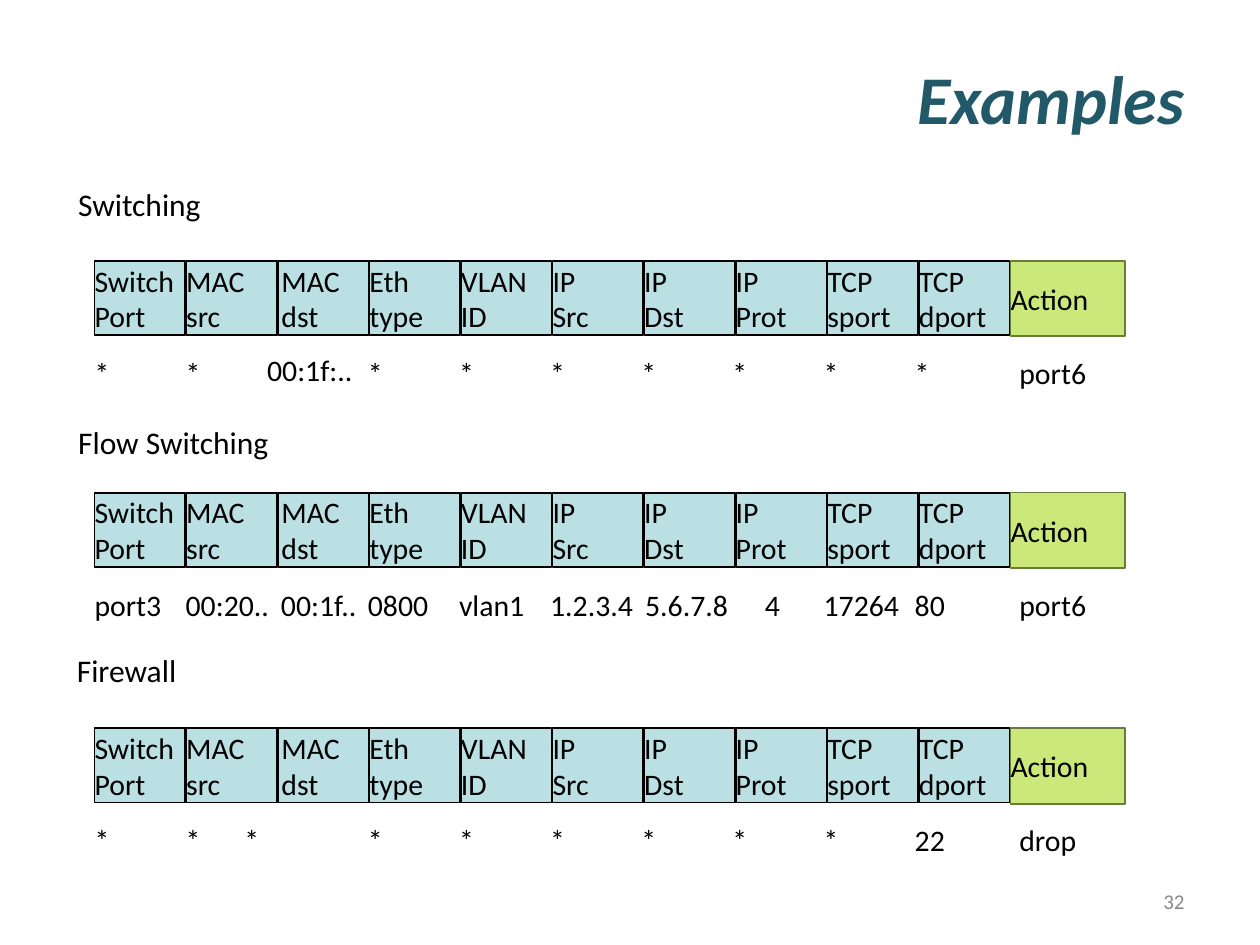
import pptx
import pptx.util
import pptx.dml.color
import pptx.enum.shapes
import pptx.enum.text

# Content
TITLE, NUMBER = "Examples", "32"
FIELDS = ["Switch Port", "MAC src", "MAC dst", "Eth type", "VLAN ID",
          "IP Src", "IP Dst", "IP Prot", "TCP sport", "TCP dport"]
# caption, caption left and top, header top, matched values, action,
# values set off the grid: column -> (left, width, shift down)
TABLES = [
    ("Switching", 0.62, 1.47, 2.07,
     ["*", "*", "00:1f:..", "*", "*", "*", "*", "*", "*", "*"],
     "port6", {2: (2.12, 1.24, -0.02)}),
    ("Flow Switching", 0.62, 3.36, 3.91,
     ["port3", "00:20..", "00:1f..", "0800", "vlan1",
      "1.2.3.4", "5.6.7.8", "4", "17264", "80"],
     "port6", {2: (2.23, 0.95, 0), 6: (5.12, 0.72, 0), 7: (6.07, 0.72, 0)}),
    ("Firewall", 0.61, 5.17, 5.78,
     ["*", "*", "*", "*", "*", "*", "*", "*", "*", "22"],
     "drop", {2: (1.94, 1.24, 0)}),
]

# Grid, in inches
LEFT, ACTION_LEFT, ACTION_VALUE_LEFT = 0.75, 8.02, 8.09
CELL_W, CELL_H, VALUE_H, VALUE_DROP = 0.72, 0.59, 0.35, 0.71
CELL_STEP = (ACTION_LEFT - LEFT) / len(FIELDS)
VALUE_STEP = (7.26 - LEFT) / (len(FIELDS) - 1)
MAC_DST_INSET = 0.03

ALIGN = pptx.enum.text.PP_ALIGN


def rgb(value):
    return pptx.dml.color.RGBColor.from_string(value)


def inches(*values):
    return [pptx.util.Inches(v) for v in values]


def write(s, lines, size=17, color="000000", align=ALIGN.LEFT,
          insets=(0, 0, 0, 0), wrap=True, bold=False, italic=False):
    tf = s.text_frame
    tf.word_wrap = wrap
    tf.vertical_anchor = pptx.enum.text.MSO_ANCHOR.MIDDLE
    tf.margin_left, tf.margin_top, tf.margin_right, tf.margin_bottom = inches(*insets)
    for i, line in enumerate(lines):
        p = tf.add_paragraph() if i else tf.paragraphs[0]
        p.alignment = align
        r = p.add_run()
        r.text = line
        r.font.name, r.font.size = "Calibri", pptx.util.Pt(size)
        r.font.bold, r.font.italic = bold, italic
        r.font.color.rgb = rgb(color)


def add_text(box, text, **style):
    write(slide.shapes.add_textbox(*inches(*box)), [text], **style)


def add_cell(box, lines, fill, line, inset=0):
    s = slide.shapes.add_shape(pptx.enum.shapes.MSO_SHAPE.RECTANGLE, *inches(*box))
    s.shadow.inherit = False
    s.fill.solid()
    s.fill.fore_color.rgb = rgb(fill)
    s.line.color.rgb = rgb(line)
    s.line.width = pptx.util.Pt(1)
    write(s, lines, insets=(inset, 0, 0, 0))


prs = pptx.Presentation()
prs.slide_width, prs.slide_height = inches(10, 7.5)
slide = prs.slides.add_slide(prs.slide_layouts[6])

# Title and slide number
PADDING = (0.1, 0.05, 0.1, 0.05)
add_text((0.5, 0.3, 9, 0.95), TITLE, size=39, color="215968",
         align=ALIGN.RIGHT, insets=PADDING, bold=True, italic=True)
add_text((7.17, 6.95, 2.33, 0.4), NUMBER, size=12, color="898989",
         align=ALIGN.RIGHT, insets=PADDING)

for caption, caption_left, caption_top, top, values, action, moved in TABLES:
    add_text((caption_left, caption_top, 1.52, 0.3), caption, size=18, wrap=False)

    # Header row
    for i, field in enumerate(FIELDS):
        add_cell((LEFT + i * CELL_STEP, top, CELL_W, CELL_H), field.split(),
                 "BBE0E3", "000000", MAC_DST_INSET if field == "MAC dst" else 0)
    add_cell((ACTION_LEFT, top, 0.91, 0.6), ["Action"], "CBE97B", "697D3A")

    # Value row
    value_top = top + VALUE_DROP
    for i, value in enumerate(values):
        left, width, shift = moved.get(i, (LEFT + i * VALUE_STEP, CELL_W, 0))
        add_text((left, value_top + shift, width, VALUE_H), value)
    add_text((ACTION_VALUE_LEFT, value_top, CELL_W, VALUE_H), action)

prs.save("out.pptx")
